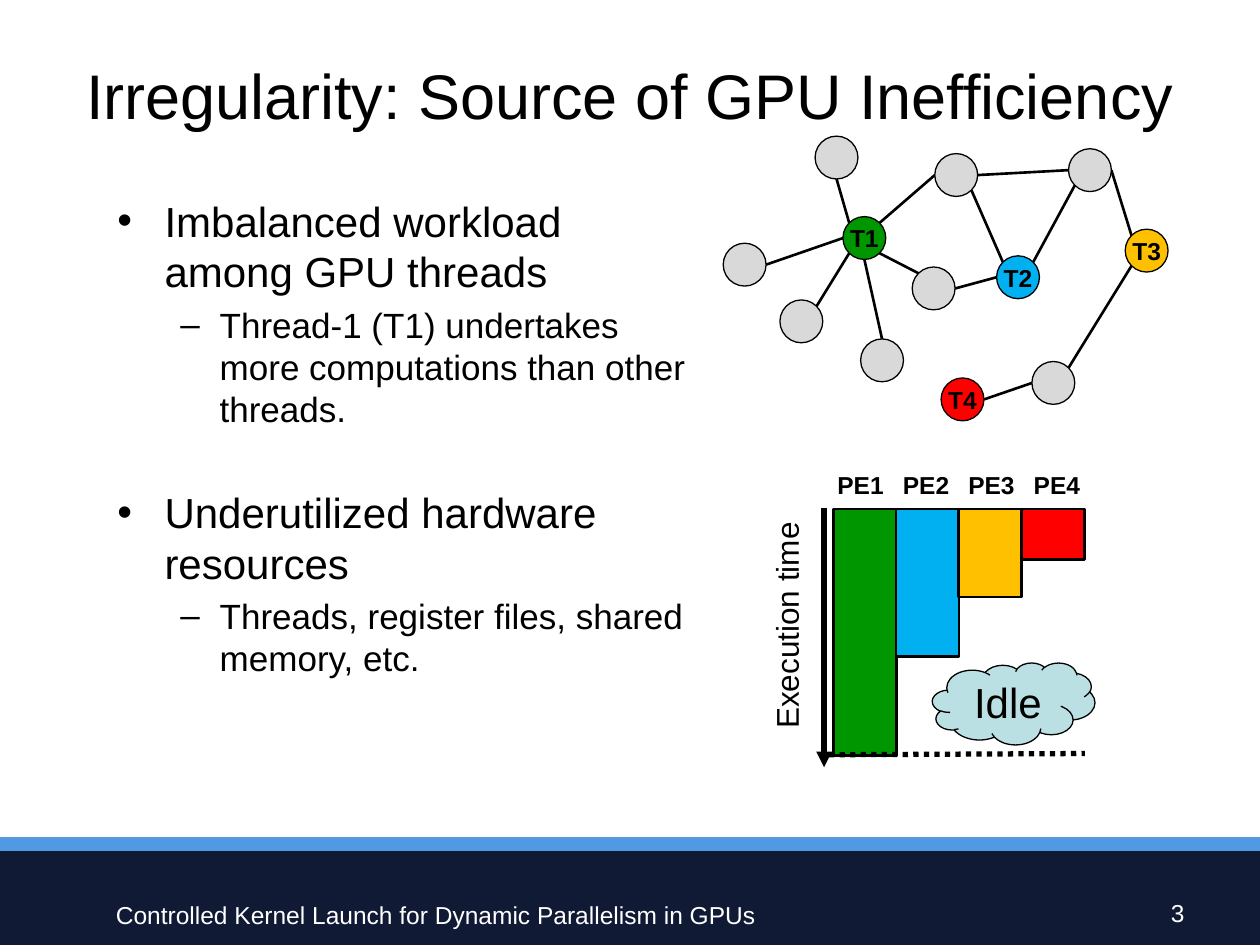
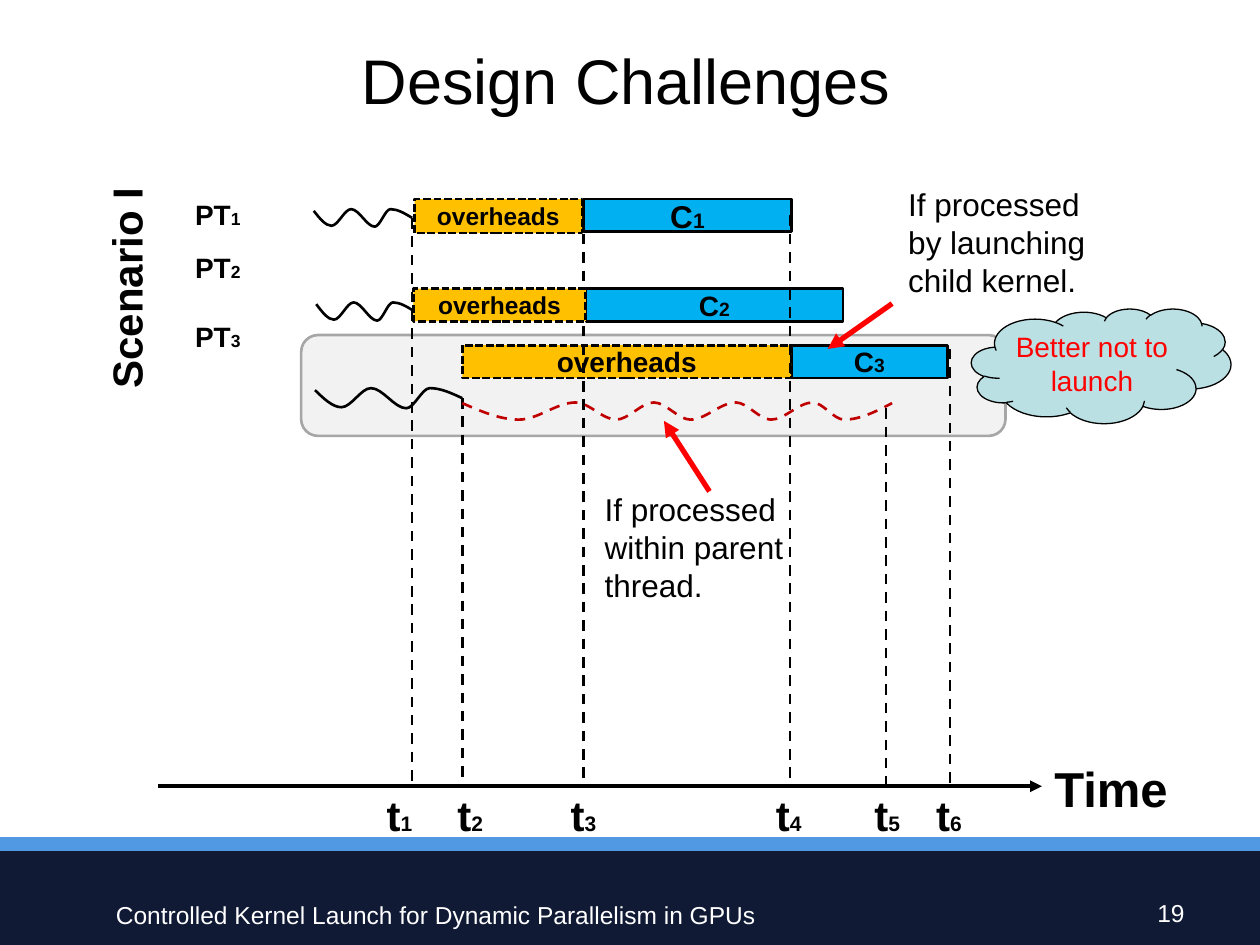
"""Build two slides on irregular GPU workloads and kernel launch timing."""
from dataclasses import dataclass
from math import cos, radians, sin

from lxml.etree import SubElement as Sub
from pptx import Presentation
from pptx.dml.color import RGBColor as Rgb
from pptx.enum.dml import MSO_LINE as Dash
from pptx.enum.shapes import MSO_CONNECTOR as Link, MSO_SHAPE as Form
from pptx.enum.text import MSO_ANCHOR as Anchor, MSO_AUTO_SIZE as Fit, PP_ALIGN as Align
from pptx.oxml.ns import qn
from pptx.util import Pt

Runs = list[tuple[str, int]]
Spot = tuple[float, float]


@dataclass(frozen=True)
class Theme:
    """Colours, font and type sizes of the deck."""
    font: str = "Arial"
    ink: str = "000000"
    white: str = "FFFFFF"
    navy: str = "101A35"
    sky: str = "519AE3"
    green: str = "009600"
    blue: str = "00B0F0"
    gold: str = "FFC000"
    red: str = "FF0000"
    dark: str = "C00000"
    grey: str = "D9D9D9"
    pale: str = "F2F2F2"
    edge: str = "A6A6A6"
    mist: str = "BBE0E3"
    title: int = 36
    time: int = 28
    head: int = 24
    item: int = 20
    note: int = 18
    tag: int = 16
    small: int = 14
    sub: int = 12
    tiny: int = 10


T = Theme()


@dataclass(frozen=True)
class Box:
    """Place and size in points."""
    left: float
    top: float
    width: float
    height: float


@dataclass(frozen=True)
class Node:
    """Graph node with its corner, fill and name."""
    left: float
    top: float
    fill: str = T.grey
    name: str = ""

    def site(self, k: int) -> Spot:
        """Return the k-th of eight rim points, counted from the top leftwards."""
        turn, half = radians(90 + 45 * k), NODE / 2
        return self.left + half + half * cos(turn), self.top + half - half * sin(turn)


@dataclass(frozen=True)
class Bar:
    """Timeline bar with its text."""
    box: Box
    fill: str
    runs: Runs
    dash: Dash | None = None


@dataclass(frozen=True)
class Tick:
    """Dashed time mark with the left edge of its label."""
    x: float
    top: float
    label: float


NODE = 24.5
NODES = {
    "T1": Node(481.7, 123.8, T.green, "T1"), "T2": Node(569.5, 146.2, T.blue, "T2"),
    "T3": Node(643, 131, T.gold, "T3"), "T4": Node(537.8, 216, T.red, "T4"),
    "A": Node(465.8, 77.8), "B": Node(413.3, 139), "C": Node(491.8, 193.7),
    "D": Node(521.3, 152.6), "E": Node(534.2, 87.8), "F": Node(610.6, 85),
    "G": Node(589.7, 206.6), "H": Node(445.7, 171.4),
}
EDGES = [
    ("T1", 1, "A", 4), ("T1", 2, "B", 6), ("T1", 4, "C", 0), ("T1", 5, "D", 1),
    ("T1", 7, "E", 2), ("T1", 3, "H", 7), ("T2", 2, "D", 6), ("T2", 1, "E", 5),
    ("T2", 7, "F", 3), ("T3", 1, "F", 6), ("T3", 3, "G", 7), ("E", 6, "F", 2),
    ("G", 2, "T4", 6),
]
LOADS = [(T.green, 141), (T.blue, 84.2), (T.gold, 50.4), (T.red, 28.8)]
POINTS = [
    (0, "Imbalanced workload among GPU threads", None),
    (1, "Thread-1 (T1) undertakes more computations than other threads.", None),
    (0, "Underutilized hardware resources", 33),
    (1, "Threads, register files, shared memory, etc.", None),
]
LEVELS = [(T.head, 27, -27), (T.item, 58.5, -22.5)]
KERNELS = [
    Bar(Box(333.4, 113.8, 118.8, 18.7), T.blue, [("C", T.note), ("1", T.sub)]),
    Bar(Box(334.8, 164.9, 146.9, 18.7), T.blue, [("C", T.tag), ("2", 11)]),
    Bar(Box(452.2, 197.3, 89.3, 18.7), T.blue, [("C", T.tag), ("3", 11)]),
    Bar(Box(264.2, 197.3, 188, 18.7), T.gold, [("overheads", T.tag)], Dash.SQUARE_DOT),
]
WAITS = [
    Bar(Box(236.9, 113.8, 95.8, 19.4), T.gold, [("overheads", T.small)], Dash.SQUARE_DOT),
    Bar(Box(236.2, 164.9, 98.6, 18.7), T.gold, [("overheads", T.small)], Dash.SQUARE_DOT),
]
TICKS = [
    Tick(235.4, 124.6, 213.8), Tick(264.2, 227.5, 254.2), Tick(333.4, 123.1, 319),
    Tick(451.4, 123.1, 436.3), Tick(506.2, 233.3, 492.5), Tick(542.9, 199.4, 527.8),
]
WAVES = [Box(179.3, 119.5, 56.2, 10), Box(180.7, 172.8, 56.2, 10.4), Box(180, 221.8, 84.2, 11.5)]
RIPPLE = [(0, 0.1), (0.18, 0.95), (0.38, 0), (0.62, 1), (0.78, 0), (1, 0.5)]
CRESTS = [264.2, 296.6, 329, 352.1, 373.7, 394.6, 420.5, 440.6, 464.4, 482.4, 509.8]


def assign(obj: object, vals: dict) -> None:
    """Set each named attribute on an object."""
    for key, val in vals.items():
        setattr(obj, key, val)


def write(shape, runs: Runs, ink: str = T.ink, bold: bool = False, align=Align.LEFT,
          anchor=Anchor.TOP, pad: float | None = None) -> None:
    """Fill a shape with one paragraph of sized runs."""
    frame = shape.text_frame
    assign(frame, {"word_wrap": True, "auto_size": Fit.NONE, "vertical_anchor": anchor})
    if pad is not None:
        assign(frame, {f"margin_{side}": Pt(pad) for side in ("left", "top", "right", "bottom")})
    para = frame.paragraphs[0]
    para.alignment = align
    for text, size in runs:
        run = para.add_run()
        run.text = text
        assign(run.font, {"name": T.font, "size": Pt(size), "bold": bold})
        run.font.color.rgb = Rgb.from_string(ink)


def place(box: Box) -> list[int]:
    """Return a box as lengths."""
    return [Pt(v) for v in (box.left, box.top, box.width, box.height)]


def move(shape, box: Box) -> None:
    """Put a placeholder into a box."""
    assign(shape, dict(zip(("left", "top", "width", "height"), place(box))))


def label(slide, box: Box, runs: Runs, **form):
    """Add a text box."""
    shape = slide.shapes.add_textbox(*place(box))
    write(shape, runs, **form)
    return shape


def stroke(line, ink: str, width: float, dash=None) -> None:
    """Style an outline."""
    line.color.rgb = Rgb.from_string(ink)
    assign(line, {"width": Pt(width), "dash_style": dash})


def draw(slide, form, box: Box, fill: str, ink: str | None = T.ink, width: float = 0.75, dash=None):
    """Add a filled preset shape."""
    shape = slide.shapes.add_shape(form, *place(box))
    shape.shadow.inherit = False
    shape.fill.solid()
    shape.fill.fore_color.rgb = Rgb.from_string(fill)
    if ink:
        stroke(shape.line, ink, width, dash)
    else:
        shape.line.fill.background()
    return shape


def link(slide, start: Spot, end: Spot, ink: str = T.ink, width: float = 1.5, dash=None,
         arrow: bool = False) -> None:
    """Add a straight line or arrow."""
    line = slide.shapes.add_connector(Link.STRAIGHT, *(Pt(v) for v in start + end))
    stroke(line.line, ink, width, dash)
    props = line._element.spPr
    if arrow:
        Sub(props.find(qn("a:ln")), qn("a:tailEnd"), type="triangle")
    Sub(props, qn("a:effectLst"))


def wave(slide, knots: list[Spot], ink: str = T.ink, dash=None) -> None:
    """Add a smooth curve that is level at its inner knots."""
    pen = slide.shapes.build_freeform(*(Pt(v) for v in knots[0]), scale=1.0)
    last = len(knots) - 2
    for i, ((ax, ay), (bx, by)) in enumerate(zip(knots, knots[1:])):
        step, mid = (bx - ax) / 3, (ay + by) / 2
        curve = [(ax + step, mid if i == 0 else ay), (bx - step, mid if i == last else by), (bx, by)]
        pen.add_line_segments([(Pt(x), Pt(y)) for x, y in curve], close=False)
    shape = pen.convert_to_shape()
    shape.shadow.inherit = False
    shape.fill.background()
    stroke(shape.line, ink, 1.5, dash)
    track = shape._element.find(".//" + qn("a:path"))
    legs = track.findall(qn("a:lnTo"))
    for i in range(0, len(legs), 3):
        bend = Sub(track, qn("a:cubicBezTo"))
        for leg in legs[i:i + 3]:
            bend.append(leg[0])
            track.remove(leg)


def start(deck, layout: int, title: str, box: Box, page: int):
    """Add a slide with title, bands and footer."""
    slide = deck.slides.add_slide(deck.slide_layouts[layout])
    move(slide.shapes.title, box)
    write(slide.shapes.title, [(title, T.title)], align=Align.CENTER)
    draw(slide, Form.RECTANGLE, Box(0, 486, 720, 54), T.navy, None)
    link(slide, (0, 482.4), (720, 482.4), T.sky, 8)
    label(slide, Box(66.2, 514.1, 467.3, 25), [("Controlled Kernel Launch for Dynamic Parallelism in GPUs", T.small)],
          ink=T.white, pad=0)
    label(slide, Box(534.2, 509.8, 149.8, 30), [(str(page), T.small)], ink=T.white, align=Align.RIGHT)
    return slide


def outline(body) -> None:
    """Write the two-level list into the body placeholder."""
    move(body, Box(59.8, 108, 340, 356.4))
    frame = body.text_frame
    assign(frame, {"word_wrap": True, "auto_size": Fit.NONE, "vertical_anchor": Anchor.TOP})
    for i, (level, text, gap) in enumerate(POINTS):
        para = frame.add_paragraph() if i else frame.paragraphs[0]
        size, left, hang = LEVELS[level]
        assign(para, {"text": text, "level": level})
        if gap:
            para.space_before = Pt(gap)
        assign(para.font, {"name": T.font, "size": Pt(size)})
        para.font.color.rgb = Rgb.from_string(T.ink)
        props = para._p.get_or_add_pPr()
        props.set("marL", str(Pt(left)))
        props.set("indent", str(Pt(hang)))


def graph(slide) -> None:
    """Draw the thread graph."""
    for a, i, b, j in EDGES:
        link(slide, NODES[a].site(i), NODES[b].site(j))
    for node in NODES.values():
        shape = draw(slide, Form.OVAL, Box(node.left, node.top, NODE, NODE), node.fill)
        if node.name:
            write(shape, [(node.name, T.small)], bold=True, align=Align.CENTER, anchor=Anchor.MIDDLE, pad=0)


def loads(slide) -> None:
    """Draw the load of each processing element."""
    for i, (fill, height) in enumerate(LOADS):
        label(slide, Box(473.8 + 37.4 * i, 262.4, 36, 28.8), [(f"PE{i + 1}", T.small)], bold=True,
              align=Align.CENTER, anchor=Anchor.MIDDLE, pad=0)
        draw(slide, Form.RECTANGLE, Box(476.3 + 35.8 * i, 290.9, 36, height), fill, width=1.5)
    link(slide, (470.9, 290.2), (470.9, 438.5), width=3, arrow=True)
    link(slide, (473.8, 431.3), (619.9, 430.6), width=3, dash=Dash.ROUND_DOT)
    time = label(slide, Box(434.9, 264.2, 49, 186.5), [("Execution time", T.note)], align=Align.CENTER)
    time.text_frame._txBody.bodyPr.set("vert", "vert270")


def cloud(slide, box: Box, runs: Runs, ink: str = T.ink) -> None:
    """Add a cloud with centred text."""
    shape = draw(slide, Form.CLOUD, box, T.mist)
    write(shape, runs, ink=ink, align=Align.CENTER, anchor=Anchor.MIDDLE, pad=0)


def bars(slide, items: list[Bar]) -> None:
    """Draw timeline bars."""
    for bar in items:
        shape = draw(slide, Form.RECTANGLE, bar.box, bar.fill, width=1.5, dash=bar.dash)
        write(shape, bar.runs, bold=True, align=Align.CENTER, anchor=Anchor.MIDDLE)


def timeline(slide) -> None:
    """Draw the launch timeline of three parent threads."""
    draw(slide, Form.ROUNDED_RECTANGLE, Box(172.1, 191.5, 402.5, 57.6), T.pale, T.edge, 1.5)
    for i, (box, top) in enumerate(zip(WAVES, (109.4, 139.7, 179.3)), 1):
        wave(slide, [(box.left + u * box.width, box.top + v * box.height) for u, v in RIPPLE])
        label(slide, Box(104.4, top, 49.7, 26.6), [("PT", T.tag), (str(i), T.tiny)], bold=True)
    bars(slide, KERNELS)
    link(slide, (90, 449.3), (595.4, 449.3), width=2.25, arrow=True)
    label(slide, Box(595.4, 429.8, 84, 41), [("Time", T.time)], bold=True)
    for i, tick in enumerate(TICKS, 1):
        link(slide, (tick.x, tick.top), (tick.x, 448.5), dash=Dash.DASH)
        label(slide, Box(tick.label, 447.8, 32, 36), [("t", T.head), (str(i), T.sub)], bold=True)
    ends = {0: 230.4, len(CRESTS) - 1: 230.4}
    wave(slide, [(x, ends.get(i, 239.8 if i % 2 else 230)) for i, x in enumerate(CRESTS)], T.dark, Dash.DASH)
    bars(slide, WAITS)
    side = label(slide, Box(0, 139, 144, 36), [("Scenario I", T.head)], bold=True)
    side.rotation = 270
    label(slide, Box(338.4, 276.5, 126.7, 72.7), [("If processed within parent thread.", T.note)])
    label(slide, Box(511.9, 102.2, 118, 72.7), [("If processed by launching child kernel.", T.note)])
    link(slide, (405.4, 280.8), (379.4, 240.5), T.red, 3, arrow=True)
    link(slide, (509.8, 173.5), (473, 199.4), T.red, 3, arrow=True)


def main() -> None:
    """Build and save the deck."""
    deck = Presentation()
    assign(deck, {"slide_width": Pt(720), "slide_height": Pt(540)})
    slide = start(deck, 1, "Irregularity: Source of GPU Inefficiency", Box(18, 28.8, 684, 104.4), 3)
    outline(slide.placeholders[1])
    graph(slide)
    loads(slide)
    cloud(slide, Box(532.8, 378.7, 92.9, 46.8), [("Idle", T.head)])
    slide = start(deck, 5, "Design Challenges", Box(47.5, 20.2, 620.6, 104.4), 19)
    timeline(slide)
    cloud(slide, Box(555.1, 176.4, 148.3, 65.5), [("Better not to launch", T.tag)], T.red)
    deck.save("out.pptx")


if __name__ == "__main__":
    main()
